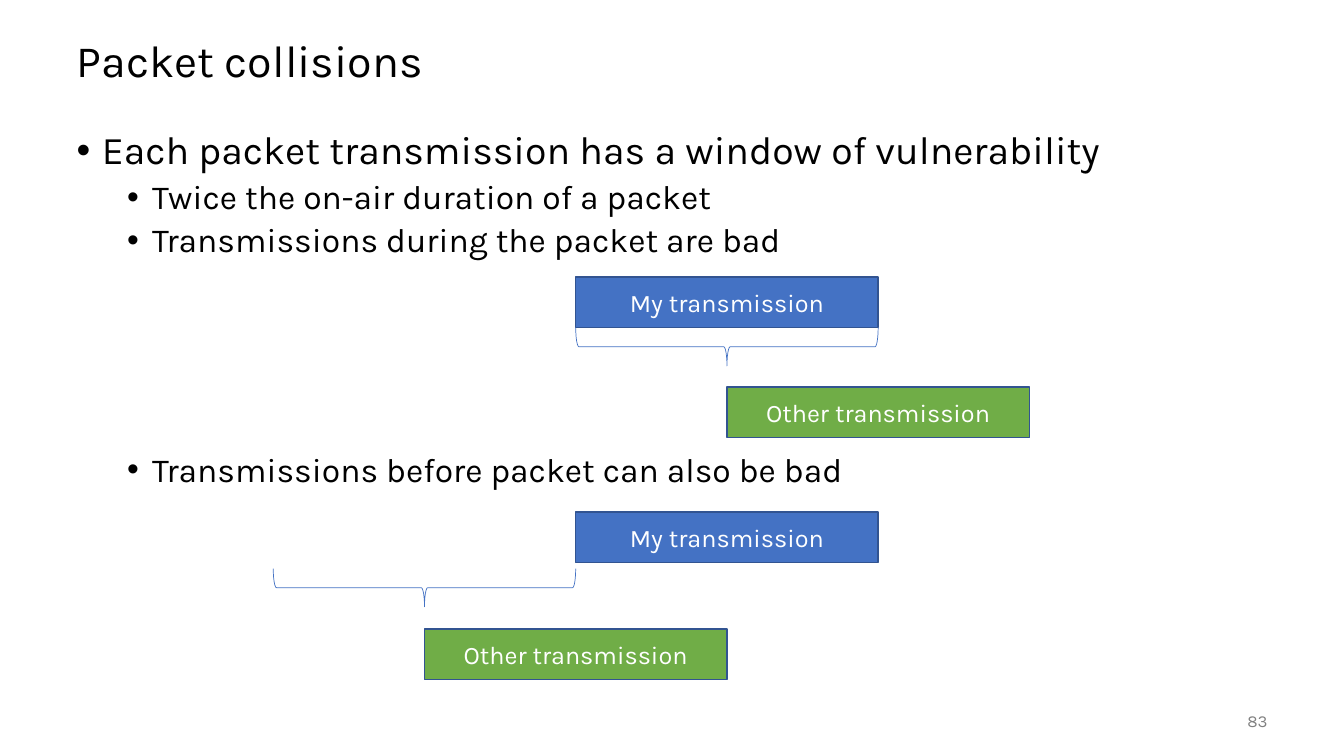
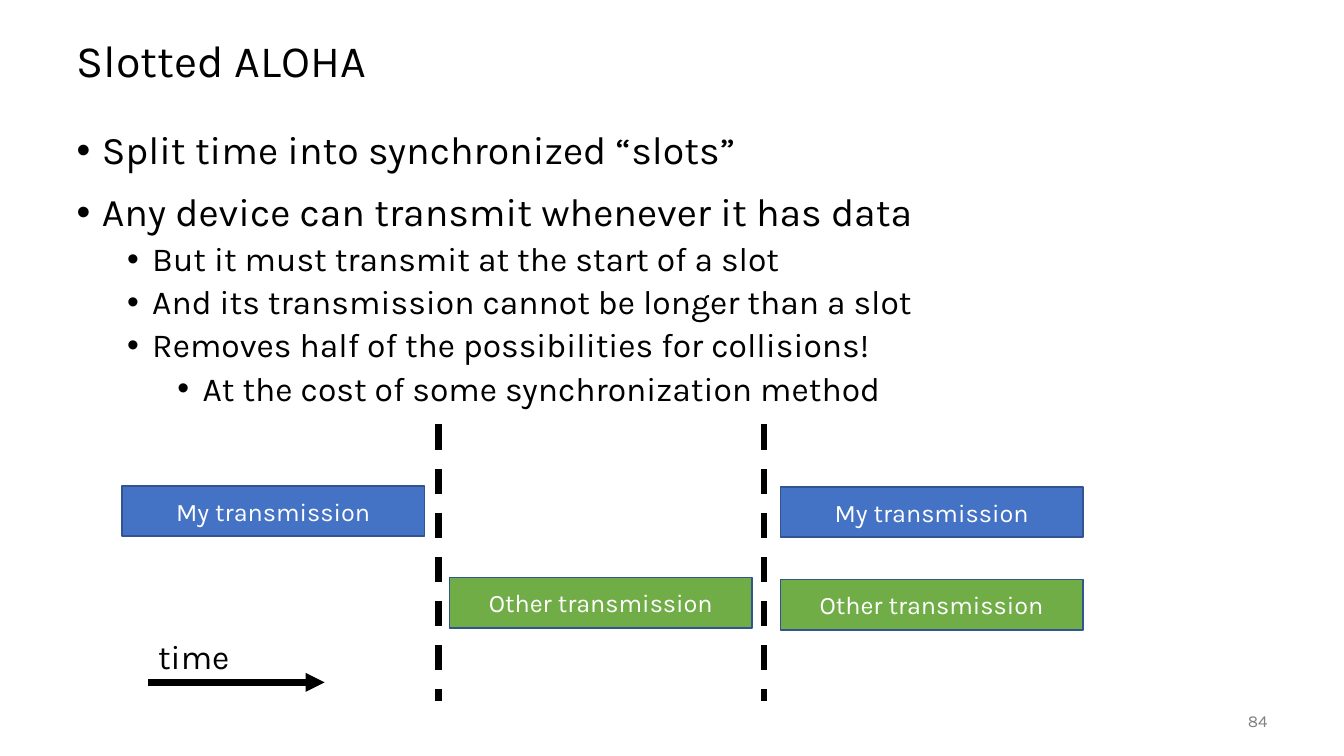
"""Build two slides on packet collisions and slotted ALOHA."""
from dataclasses import dataclass

from pptx import Presentation
from pptx.dml.color import RGBColor
from pptx.enum.dml import MSO_LINE
from pptx.enum.shapes import MSO_CONNECTOR, MSO_SHAPE
from pptx.enum.text import MSO_ANCHOR, MSO_AUTO_SIZE, PP_ALIGN
from pptx.oxml.ns import qn
from pptx.util import Inches, Pt

RECTANGLE, BRACE = MSO_SHAPE.RECTANGLE, MSO_SHAPE.RIGHT_BRACE
STRAIGHT, DASH = MSO_CONNECTOR.STRAIGHT, MSO_LINE.DASH
LEFT, CENTER, RIGHT = PP_ALIGN.LEFT, PP_ALIGN.CENTER, PP_ALIGN.RIGHT
TOP, MIDDLE = MSO_ANCHOR.TOP, MSO_ANCHOR.MIDDLE


@dataclass(frozen=True)
class Theme:
    font: str = "Karla"
    ink: str = "000000"
    muted: str = "808080"
    white: str = "FFFFFF"
    blue: str = "4472C4"
    green: str = "70AD47"
    border: str = "325491"
    title: int = 32
    bullets: tuple = (28, 24, 24)
    packet: int = 18
    time: int = 24
    number: int = 12


THEME = Theme()

TITLE_AREA = (0.66, 0.25, 12, 0.75)
BODY_AREA = (0.66, 1.25, 12, 5.5)
NUMBER_AREA = (11.67, 6.95, 1, 0.4)
PACKET_WIDTH, PACKET_HEIGHT, BRACE_DEPTH = 3, 0.5, 0.38
BULLET_INDENT, LEVEL_STEP = 0.25, 0.5
LEVEL_SPACING = (14, 5, 5)
DIAGRAM_GAP = 138

PACKETS = {
    "my": ("My transmission", THEME.blue),
    "other": ("Other transmission", THEME.green),
}

SLIDES = [
    {
        "number": 83,
        "title": "Packet collisions",
        "bullets": [
            (0, "Each packet transmission has a window of vulnerability"),
            (1, "Twice the on-air duration of a packet"),
            (1, "Transmissions during the packet are bad"),
            (1, "Transmissions before packet can also be bad", DIAGRAM_GAP),
        ],
        "packets": [("my", 5.71, 2.75), ("my", 5.71, 5.08),
                    ("other", 4.21, 6.24), ("other", 7.21, 3.84)],
        "windows": [(5.71, 3.25), (2.71, 5.64)],
    },
    {
        "number": 84,
        "title": "Slotted ALOHA",
        "bullets": [
            (0, "Split time into synchronized “slots”"),
            (0, "Any device can transmit whenever it has data"),
            (1, "But it must transmit at the start of a slot"),
            (1, "And its transmission cannot be longer than a slot"),
            (1, "Removes half of the possibilities for collisions!"),
            (2, "At the cost of some synchronization method"),
        ],
        "packets": [("my", 1.21, 4.82), ("other", 4.46, 5.73),
                    ("other", 7.74, 5.75), ("my", 7.74, 4.83)],
        "slot_edges": [4.35, 7.58],
        "time": "time",
    },
]

SLOT_TOP, SLOT_BOTTOM = 4.21, 6.95
TIME_LABEL_AREA = (1.47, 6.26, 1.43, 0.5)
TIME_ARROW = (1.47, 6.77, 3.22, 6.77)


def rgb(value):
    return RGBColor.from_string(value)


def inches(values):
    return [Inches(value) for value in values]


def write(paragraph, text, size, color=THEME.ink, align=LEFT, spacing=1.0, before=0):
    paragraph.alignment = align
    paragraph.line_spacing = spacing
    paragraph.space_before = Pt(before)
    run = paragraph.add_run()
    run.text = text
    run.font.name = THEME.font
    run.font.size = Pt(size)
    run.font.color.rgb = rgb(color)


def set_frame(frame, anchor):
    frame.word_wrap = True
    frame.auto_size = MSO_AUTO_SIZE.NONE
    frame.vertical_anchor = anchor
    return frame.paragraphs[0]


def place(shape, area):
    shape.left, shape.top, shape.width, shape.height = inches(area)


def set_bullet(paragraph, level):
    paragraph.level = level
    properties = paragraph._p.get_or_add_pPr()
    properties.set("marL", str(Inches(BULLET_INDENT + level * LEVEL_STEP)))
    properties.set("indent", str(Inches(-BULLET_INDENT)))
    mark = properties.makeelement(qn("a:buChar"), {"char": "•"})
    properties.append(mark)


def add_label(slide, text, area, anchor=TOP, **style):
    box = slide.shapes.add_textbox(*inches(area))
    write(set_frame(box.text_frame, anchor), text, **style)


def add_bullets(body, bullets):
    place(body, BODY_AREA)
    paragraph = set_frame(body.text_frame, TOP)
    for index, (level, text, *gap) in enumerate(bullets):
        if index:
            paragraph = body.text_frame.add_paragraph()
        set_bullet(paragraph, level)
        before = gap[0] if gap else LEVEL_SPACING[level]
        write(paragraph, text, THEME.bullets[level], spacing=0.9,
              before=before if index else 0)


def add_packet(slide, kind, left, top):
    label, color = PACKETS[kind]
    packet = slide.shapes.add_shape(
        RECTANGLE, *inches((left, top, PACKET_WIDTH, PACKET_HEIGHT)))
    packet.shadow.inherit = False
    packet.fill.solid()
    packet.fill.fore_color.rgb = rgb(color)
    packet.line.color.rgb = rgb(THEME.border)
    packet.line.width = Pt(1)
    write(set_frame(packet.text_frame, MIDDLE), label, THEME.packet,
          color=THEME.white, align=CENTER)


def add_window(slide, left, top):
    turn = (PACKET_WIDTH - BRACE_DEPTH) / 2
    brace = slide.shapes.add_shape(
        BRACE, *inches((left + turn, top - turn, BRACE_DEPTH, PACKET_WIDTH)))
    brace.rotation = 90
    brace.shadow.inherit = False
    brace.fill.background()
    brace.line.color.rgb = rgb(THEME.blue)
    brace.line.width = Pt(0.5)


def add_line(slide, ends, dash=None, arrow=False):
    connector = slide.shapes.add_connector(STRAIGHT, *inches(ends))
    connector.line.color.rgb = rgb(THEME.ink)
    connector.line.width = Pt(4.5)
    if dash:
        connector.line.dash_style = dash
    properties = connector.element.spPr
    if arrow:
        outline = properties.find(qn("a:ln"))
        outline.append(outline.makeelement(qn("a:tailEnd"), {"type": "triangle"}))
    properties.append(properties.makeelement(qn("a:effectLst"), {}))


def add_slide(deck, content):
    slide = deck.slides.add_slide(deck.slide_layouts[1])
    title, body = slide.placeholders
    place(title, TITLE_AREA)
    write(set_frame(title.text_frame, MIDDLE), content["title"], THEME.title,
          spacing=0.9)
    add_bullets(body, content["bullets"])
    add_label(slide, str(content["number"]), NUMBER_AREA, anchor=MIDDLE,
              size=THEME.number, color=THEME.muted, align=RIGHT)
    for packet in content["packets"]:
        add_packet(slide, *packet)
    for window in content.get("windows", []):
        add_window(slide, *window)
    for edge in content.get("slot_edges", []):
        add_line(slide, (edge, SLOT_TOP, edge, SLOT_BOTTOM), dash=DASH)
    if "time" in content:
        add_line(slide, TIME_ARROW, arrow=True)
        add_label(slide, content["time"], TIME_LABEL_AREA, size=THEME.time)


def main():
    deck = Presentation()
    deck.slide_width, deck.slide_height = Inches(13.33), Inches(7.5)
    for content in SLIDES:
        add_slide(deck, content)
    deck.save("out.pptx")


if __name__ == "__main__":
    main()
